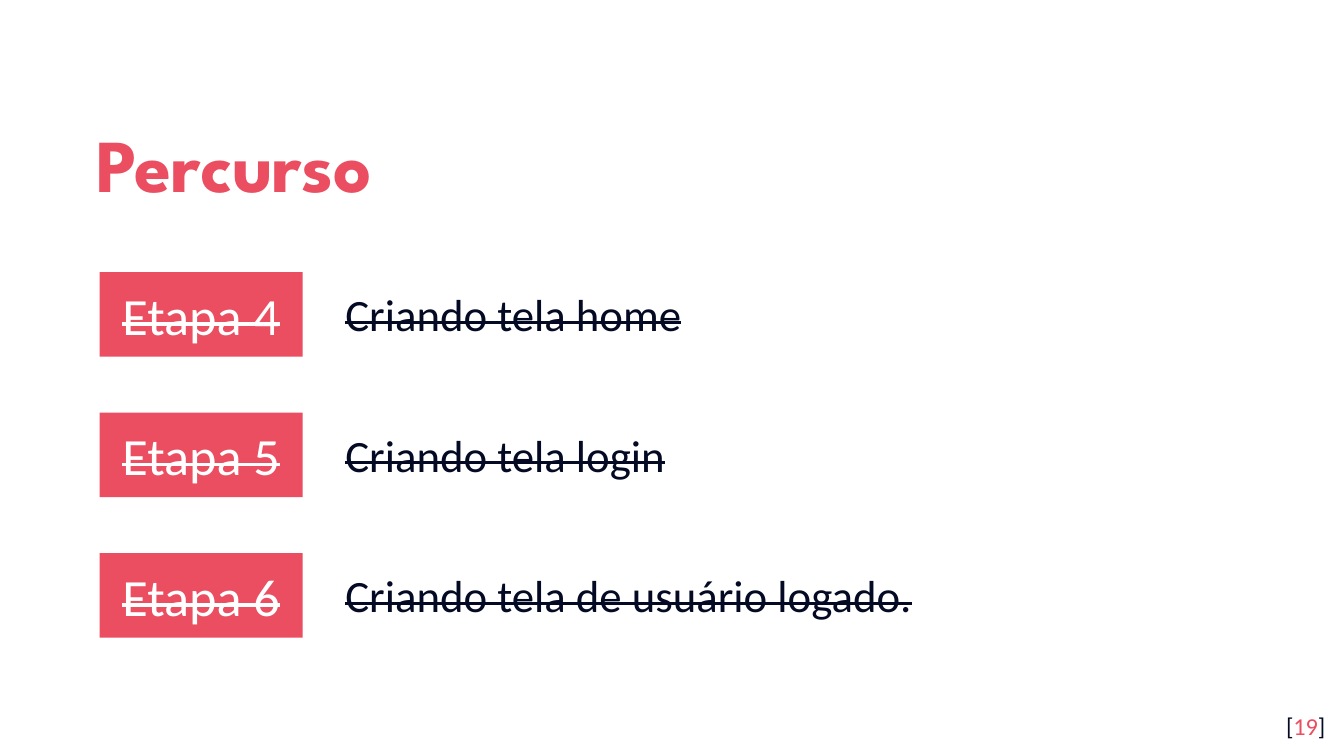
from pptx import Presentation
from pptx.dml.color import RGBColor
from pptx.enum.shapes import MSO_SHAPE as Preset
from pptx.enum.text import MSO_ANCHOR as Anchor, PP_ALIGN as Align
from pptx.util import Pt

COLORS = {"coral": "EA4E60", "navy": "040A24", "white": "FFFFFF"}


class StageSlide:
    """Draws the elements of one slide in a shared style."""

    body_font = "Calibri"
    title_font = "League Spartan"

    def __init__(self, slide):
        self.slide = slide
        slide.background.fill.solid()
        slide.background.fill.fore_color.rgb = self.color("white")

    def color(self, name):
        return RGBColor.from_string(COLORS[name])

    def fill_text(self, shape, runs, size, font=body_font, align=Align.LEFT,
                  anchor=Anchor.TOP, inset=7.2, spacing=1.0, bold=False, strike=False):
        frame = shape.text_frame
        frame.word_wrap = True
        frame.vertical_anchor = anchor
        frame.margin_left = frame.margin_right = Pt(7.2)
        frame.margin_top = frame.margin_bottom = Pt(inset)
        paragraph = frame.paragraphs[0]
        paragraph.alignment = align
        paragraph.line_spacing = spacing
        for text, color in runs:
            run = paragraph.add_run()
            run.text = text
            run.font.name = font
            run.font.size = Pt(size)
            run.font.bold = bold
            run.font.color.rgb = self.color(color)
            if strike:
                run._r.get_or_add_rPr().set("strike", "sngStrike")

    def text(self, left, top, width, height, runs, size, **style):
        shape = self.slide.shapes.add_textbox(Pt(left), Pt(top), Pt(width), Pt(height))
        self.fill_text(shape, runs, size, **style)

    def title(self, text):
        self.text(44.6, 50.4, 583.2, 66.2, [(text, "coral")], 40,
                  font=self.title_font, anchor=Anchor.MIDDLE, spacing=1.15, bold=True)

    def label(self, left, top, width, height, text):
        shape = self.slide.shapes.add_shape(
            Preset.RECTANGLE, Pt(left), Pt(top), Pt(width), Pt(height))
        shape.shadow.inherit = False
        shape.fill.solid()
        shape.fill.fore_color.rgb = self.color("coral")
        shape.line.fill.background()
        self.fill_text(shape, [(text, "white")], 28, align=Align.CENTER,
                       anchor=Anchor.MIDDLE, strike=True)

    def stage(self, top, name, task):
        self.label(53.4, top, 108.7, 45.3, name)
        self.text(177.9, top + 4.4, 486, 36, [(task, "navy")], 24,
                  inset=3.6, strike=True)

    def page_number(self, number):
        runs = [("[", "navy"), (str(number), "coral"), ("]", "navy")]
        self.text(673.9, 373.7, 43.2, 31, runs, 13, align=Align.RIGHT)


FIRST_STAGE_TOP = 145.8
STAGE_PITCH = 75.3
FIRST_STAGE = 4
TASKS = ["Criando tela home", "Criando tela login", "Criando tela de usuário logado."]

presentation = Presentation()
presentation.slide_width = Pt(720)
presentation.slide_height = Pt(405)
page = StageSlide(presentation.slides.add_slide(presentation.slide_layouts[6]))

page.title("Percurso")
for row, task in enumerate(TASKS):
    page.stage(FIRST_STAGE_TOP + row * STAGE_PITCH, f"Etapa {FIRST_STAGE + row}", task)
page.page_number(19)

presentation.save("out.pptx")
